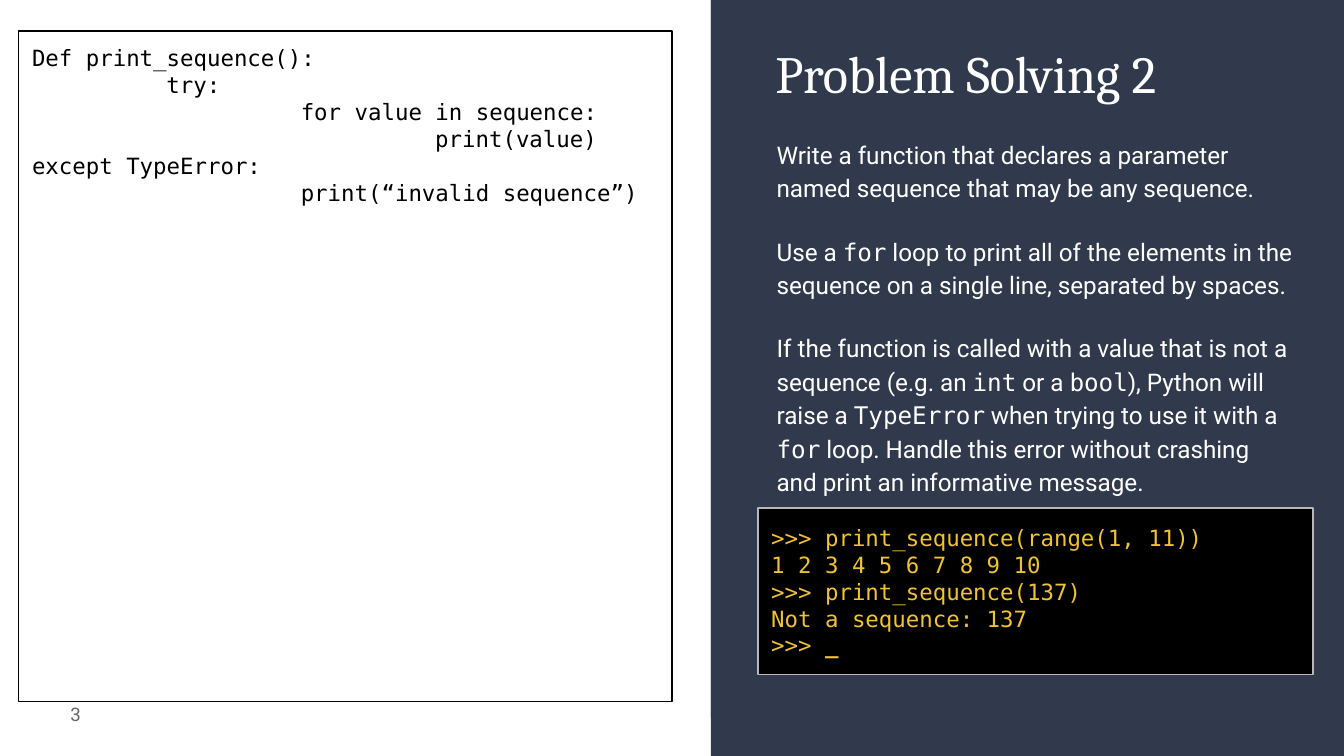
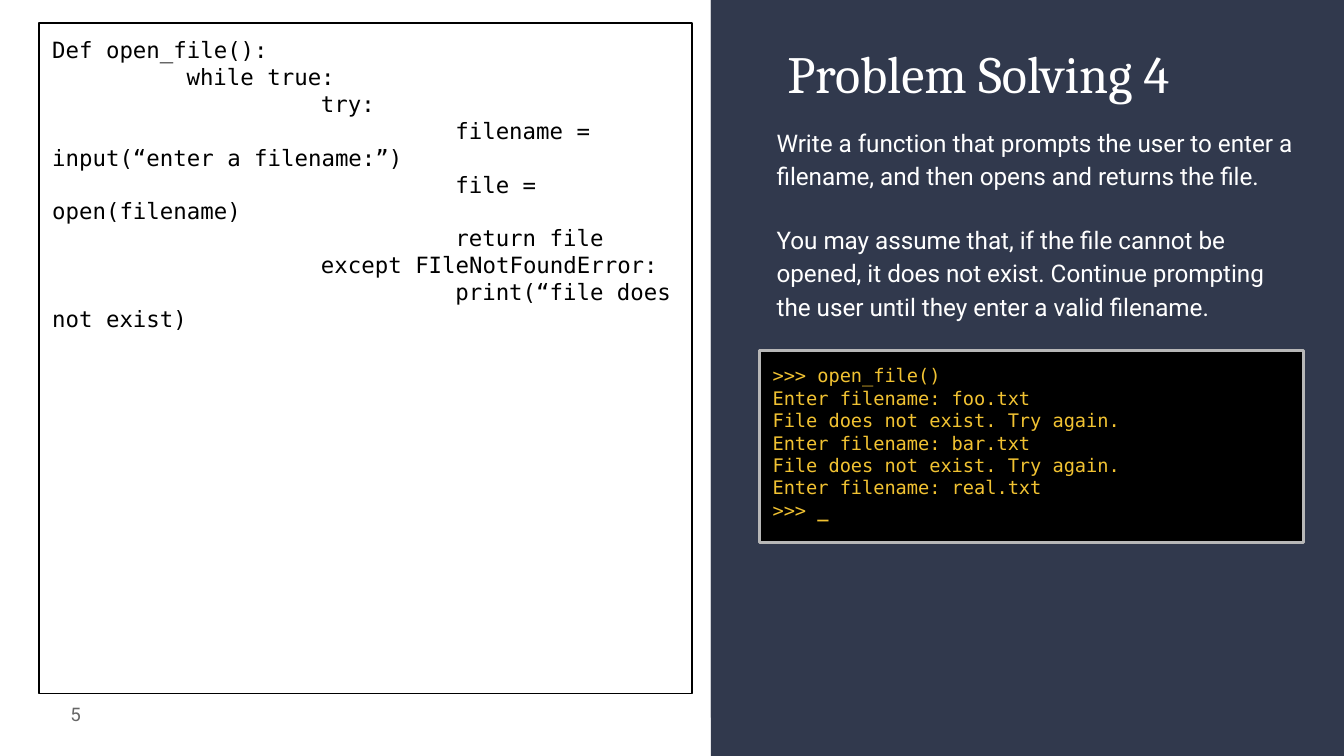
import pptx
import pptx.dml.color
import pptx.enum.shapes
import pptx.enum.text
import pptx.util
from dataclasses import dataclass

Inches = pptx.util.Inches
Pt = pptx.util.Pt
ANCHOR = pptx.enum.text.MSO_ANCHOR
RECTANGLE = pptx.enum.shapes.MSO_SHAPE.RECTANGLE


@dataclass(frozen=True)
class Theme:
    navy: str = "31394D"
    white: str = "FFFFFF"
    black: str = "000000"
    grey: str = "666666"
    silver: str = "B7B7B7"
    amber: str = "F1C232"
    serif: str = "Cambria"
    sans: str = "Roboto"
    mono: str = "DejaVu Sans Mono"
    title_size: int = 28
    body_size: int = 13
    code_size: int = 12
    number_size: int = 10


theme = Theme()


def paint(shape, fill=None, line=None, width=0.75):
    """Set fill and outline; None means no fill or no outline."""
    shape.shadow.inherit = False
    if fill:
        shape.fill.solid()
        shape.fill.fore_color.rgb = pptx.dml.color.RGBColor.from_string(fill)
    else:
        shape.fill.background()
    if line:
        shape.line.color.rgb = pptx.dml.color.RGBColor.from_string(line)
        shape.line.width = Pt(width)
    else:
        shape.line.fill.background()


def write(shape, lines, font, size, color, align="LEFT", anchor=ANCHOR.TOP,
          accent_font=None, accent_bold=None):
    """Write one paragraph per line; text between backticks gets the accent."""
    frame = shape.text_frame
    frame.word_wrap = True
    frame.vertical_anchor = anchor
    frame.margin_left = frame.margin_right = Inches(0.1)
    frame.margin_top = frame.margin_bottom = Inches(0.1)
    for row, line in enumerate(lines):
        paragraph = frame.add_paragraph() if row else frame.paragraphs[0]
        paragraph.alignment = pptx.enum.text.PP_ALIGN[align]
        # Tab stops one inch apart
        paragraph._p.get_or_add_pPr().set("defTabSz", str(Inches(1)))
        for part, words in enumerate(line.split("`")):
            if not words:
                continue
            run = paragraph.add_run()
            run.text = words
            accented = part % 2 == 1
            run.font.name = accent_font if accented and accent_font else font
            run.font.bold = accent_bold if accented else None
            run.font.size = Pt(size)
            run.font.color.rgb = pptx.dml.color.RGBColor.from_string(color)


problems = [
    {
        "number": "3",
        "title": "Problem Solving 2",
        "title_left": 5.67,
        "task_box": (5.68, 0.91, 4.05, 2.87),
        "task": [
            "Write a function that declares a parameter named sequence that may be any sequence.",
            "Use a `for` loop to print all of the elements in the sequence on a single line, "
            "separated by spaces.",
            "If the function is called with a value that is not a sequence (e.g. an `int` or a "
            "`bool`), Python will raise a `TypeError` when trying to use it with a `for` loop. "
            "Handle this error without crashing and print an informative message.",
        ],
        "code_corner": (0.14, 0.23),
        "code": [
            "Def print_sequence():",
            "\ttry:",
            "\t\tfor value in sequence:",
            "\t\t\tprint(value)\texcept TypeError:",
            "\t\tprint(“invalid sequence”)",
        ],
        "console_box": (5.64, 3.78, 4.13, 1.24),
        "console_line": 0.75,
        "console_size": 12,
        "console_anchor": ANCHOR.MIDDLE,
        "console": [
            ">>> print_sequence(range(1, 11))",
            "1 2 3 4 5 6 7 8 9 10",
            ">>> print_sequence(137)",
            "Not a sequence: 137",
            ">>> `_`",
        ],
    },
    {
        "number": "5",
        "title": "Problem Solving 4",
        "title_left": 5.76,
        "task_box": (5.68, 0.82, 4.05, 1.79),
        "task": [
            "Write a function that prompts the user to enter a filename, and then opens and "
            "returns the file.",
            "You may assume that, if the file cannot be opened, it does not exist. Continue "
            "prompting the user until they enter a valid filename.",
        ],
        "code_corner": (0.29, 0.17),
        "code": [
            "Def open_file():",
            "\twhile true:",
            "\t\ttry:",
            "\t\t\tfilename = input(“enter a filename:”)",
            "\t\t\tfile = open(filename)",
            "\t\t\treturn file",
            "\t\texcept FIleNotFoundError:",
            "\t\t\tprint(“file does not exist)",
        ],
        "console_box": (5.65, 2.61, 4.05, 1.43),
        "console_line": 1.5,
        "console_size": 10,
        "console_anchor": ANCHOR.TOP,
        "console": [
            ">>> open_file()",
            "Enter filename: foo.txt",
            "File does not exist. Try again.",
            "Enter filename: bar.txt",
            "File does not exist. Try again.",
            "Enter filename: real.txt",
            ">>> `_`",
        ],
    },
]

# Widescreen deck, 16:9
deck = pptx.Presentation()
deck.slide_width = Inches(10)
deck.slide_height = deck.slide_width * 9 // 16

for problem in problems:
    slide = deck.slides.add_slide(deck.slide_layouts[6])
    shapes = slide.shapes

    # Navy panel with its slanted overlay
    panel = shapes.add_shape(RECTANGLE, Inches(5.29), 0, Inches(4.71), deck.slide_height)
    paint(panel, theme.navy)
    outline = shapes.build_freeform(Inches(5.29), 0)
    outline.add_line_segments(
        [(Inches(x), Inches(y)) for x, y in [(10, 0), (10, 3.84), (5.29, 5.34)]], close=True)
    paint(outline.convert_to_shape(), theme.navy)

    # Title
    title = shapes.add_textbox(
        Inches(problem["title_left"]), Inches(0.21), Inches(4.05), Inches(0.7))
    write(title, [problem["title"]], theme.serif, theme.title_size, theme.white)

    # Task description
    task = shapes.add_textbox(*map(Inches, problem["task_box"]))
    write(task, problem["task"], theme.sans, theme.body_size, theme.white,
          accent_font=theme.mono)
    for row, paragraph in enumerate(task.text_frame.paragraphs):
        paragraph.line_spacing = 1.15
        paragraph.space_before = Pt(16 if row else 0)

    # Slide number
    number = shapes.add_textbox(Inches(0.1), Inches(5.1), Inches(0.6), Inches(0.43))
    write(number, [problem["number"]], theme.sans, theme.number_size, theme.grey,
          align="RIGHT", anchor=ANCHOR.MIDDLE)

    # Code answer
    code = shapes.add_shape(
        RECTANGLE, *map(Inches, problem["code_corner"]), Inches(4.86), Inches(4.99))
    paint(code, line=theme.black)
    write(code, problem["code"], theme.mono, theme.code_size, theme.black)

    # Console session
    console = shapes.add_shape(RECTANGLE, *map(Inches, problem["console_box"]))
    paint(console, theme.black, theme.silver, problem["console_line"])
    write(console, problem["console"], theme.mono, problem["console_size"], theme.amber,
          anchor=problem["console_anchor"], accent_bold=True)

deck.save("out.pptx")
